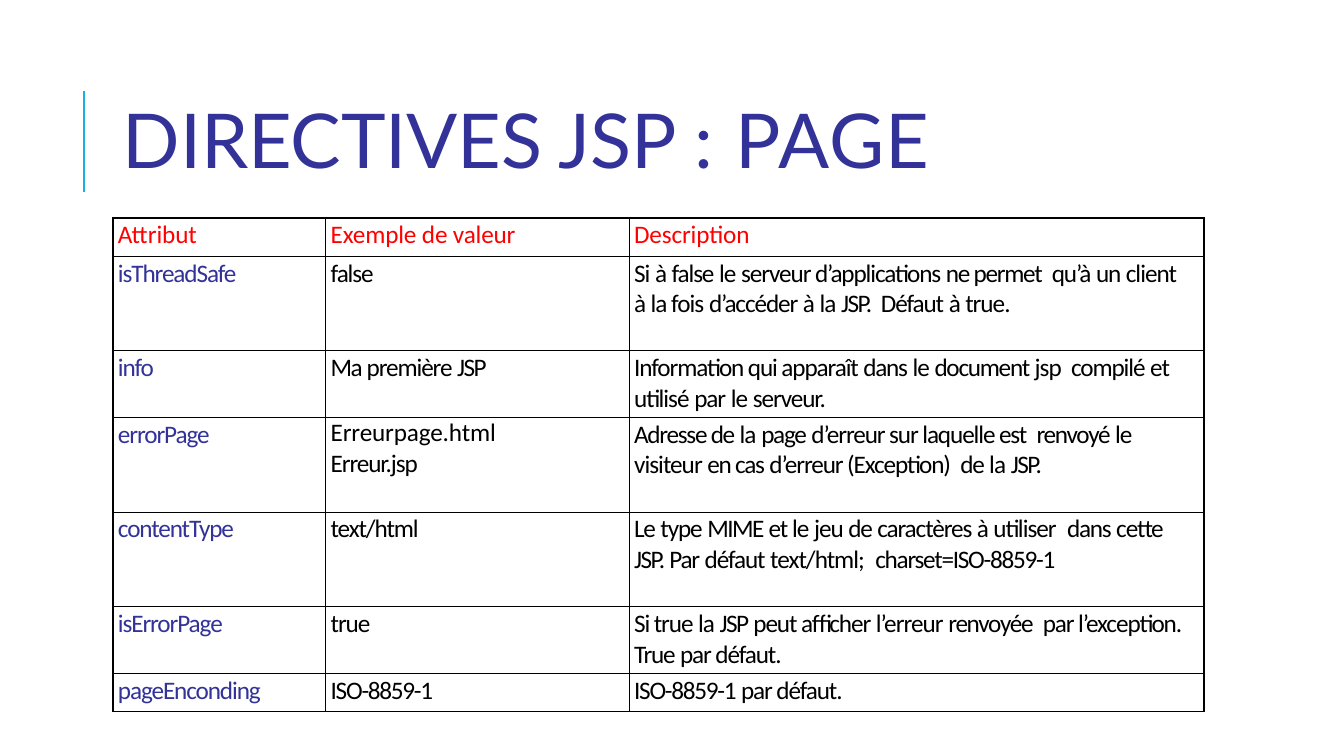
from dataclasses import dataclass
from itertools import groupby

from lxml import etree
from pptx import Presentation
from pptx import util as u
from pptx.dml.color import RGBColor
from pptx.enum import shapes, text
from pptx.oxml import ns

NAVY, RED, BLACK, CYAN = "323299", "FF0000", "000000", "1CADE4"
THICK, MEDIUM, THIN = 1.5, 0.75, 0.5
NORMAL_TRACKING = -0.8
WORD_TRACKING = {
    -0.1: "Erreurpage.html",
    -0.7: "le la client fois true. jsp et utilisé visiteur utiliser text/html; l’erreur",
    -0.9: "à ne permet un dans document Adresse de page renvoyé renvoyée en cas "
          "Le Par True charset=ISO-8859-1 ISO-8859-1",
    -1.1: "JSP JSP. MIME",
    -1.2: "Ma",
}
TRACKING = {word: points for points, words in WORD_TRACKING.items() for word in words.split()}
COLUMN_WIDTHS = [2.11, 3.01, 5.7]


@dataclass
class Attribute:
    name: str
    example: str
    description: str
    height: float
    example_margin: float = 0.0


HEADER = Attribute("Attribut", "Exemple de valeur", "Description", 0.38)
ATTRIBUTES = [
    Attribute("isThreadSafe", "false",
              "Si à false le serveur d’applications ne permet  qu’à un client à la fois "
              "d’accéder à la JSP.  Défaut à true.", 0.94),
    Attribute("info", "Ma première JSP",
              "Information qui apparaît dans le document jsp  compilé et utilisé par le serveur.",
              0.66),
    Attribute("errorPage", "Erreurpage.html  Erreur.jsp",
              "Adresse de la page d’erreur sur laquelle est  renvoyé le visiteur en cas "
              "d’erreur (Exception)  de la JSP.", 0.94, example_margin=1.0),
    Attribute("contentType", "text/html",
              "Le type MIME et le jeu de caractères à utiliser  dans cette JSP. "
              "Par défaut text/html;  charset=ISO-8859-1", 0.94),
    Attribute("isErrorPage", "true",
              "Si true la JSP peut afficher l’erreur renvoyée  par l’exception. "
              "True par défaut.", 0.66),
    Attribute("pageEnconding", "ISO-8859-1", "ISO-8859-1 par défaut.", 0.38),
]


def rgb(value: str) -> RGBColor:
    return RGBColor.from_string(value)


def add_span(para, words: str, *, color: str, size: float = 18, font: str = "Calibri",
             tracking: float = 0) -> None:
    span = para.add_run()
    span.text = words
    span.font.name = font
    span.font.size = u.Pt(size)
    span.font.color.rgb = rgb(color)
    span.font._element.set("spc", str(round(tracking * 100)))


def add_tracked_words(para, sentence: str, *, color: str) -> None:
    words = sentence.split(" ")
    pieces = [word + " " for word in words[:-1]] + words[-1:]
    for tracking, group in groupby(
            pieces, key=lambda piece: TRACKING.get(piece.strip(), NORMAL_TRACKING)):
        add_span(para, "".join(group), color=color, tracking=tracking)


def set_borders(cell, **widths: float) -> None:
    properties = cell._tc.get_or_add_tcPr()
    for side in "LRTB":
        line = etree.SubElement(properties, ns.qn(f"a:ln{side}"), w=str(u.Pt(widths[side])))
        fill = etree.SubElement(line, ns.qn("a:solidFill"))
        etree.SubElement(fill, ns.qn("a:srgbClr"), val=BLACK)
    cell.fill.background()


def add_title(page) -> None:
    rule = page.shapes.add_connector(shapes.MSO_CONNECTOR.STRAIGHT, u.Inches(0.83),
                                     u.Inches(1.9), u.Inches(0.83), u.Inches(0.9))
    rule.line.color.rgb = rgb(CYAN)
    rule.line.width = u.Pt(1.5)
    etree.SubElement(rule._element.spPr, ns.qn("a:effectLst"))
    box = page.shapes.add_textbox(u.Inches(1.12), u.Inches(0.64), u.Inches(10.63), u.Inches(1.64))
    box.text_frame.word_wrap = True
    box.text_frame.vertical_anchor = text.MSO_ANCHOR.MIDDLE
    para = box.text_frame.paragraphs[0]
    para.line_spacing = 0.8
    add_span(para, "DIRECTIVES JSP ", color=NAVY, size=54, font="Lato", tracking=-0.1)
    add_span(para, ": PAGE", color=NAVY, size=54, font="Lato", tracking=1)


def add_attribute_table(page) -> None:
    rows = [HEADER] + ATTRIBUTES
    frame = page.shapes.add_table(len(rows), len(COLUMN_WIDTHS), u.Inches(1.12), u.Inches(2.16),
                                  u.Inches(sum(COLUMN_WIDTHS)),
                                  u.Inches(sum(row.height for row in rows)))
    table = frame.table
    table.horz_banding = False
    table.first_row = False
    for column, width in zip(table.columns, COLUMN_WIDTHS):
        column.width = u.Inches(width)
    last_row, last_column = len(rows) - 1, len(COLUMN_WIDTHS) - 1
    for y, row in enumerate(rows):
        table.rows[y].height = u.Inches(row.height)
        margins = [0, row.example_margin, 0.15]
        for x, sentence in enumerate([row.name, row.example, row.description]):
            cell = table.cell(y, x)
            cell.margin_left = u.Inches(0.05)
            cell.margin_right = u.Inches(margins[x])
            cell.margin_top = u.Inches(0 if row.example_margin and x == 1 else 0.02)
            cell.margin_bottom = 0
            para = cell.text_frame.paragraphs[0]
            para.space_before = u.Pt(0.1 if row.example_margin and x == 1 else 1.5)
            if row is HEADER:
                add_span(para, sentence, color=RED, tracking=-0.1)
            else:
                add_tracked_words(para, sentence, color=NAVY if x == 0 else BLACK)
            set_borders(cell, L=THICK if x == 0 else THIN,
                        R=THICK if x == last_column else THIN,
                        T=THICK if y == 0 else MEDIUM,
                        B=THICK if y == last_row else MEDIUM)


def main() -> None:
    deck = Presentation()
    deck.slide_width, deck.slide_height = u.Inches(13.33), u.Inches(7.5)
    page = deck.slides.add_slide(deck.slide_layouts[6])
    add_title(page)
    add_attribute_table(page)
    deck.save("out.pptx")


if __name__ == "__main__":
    main()
